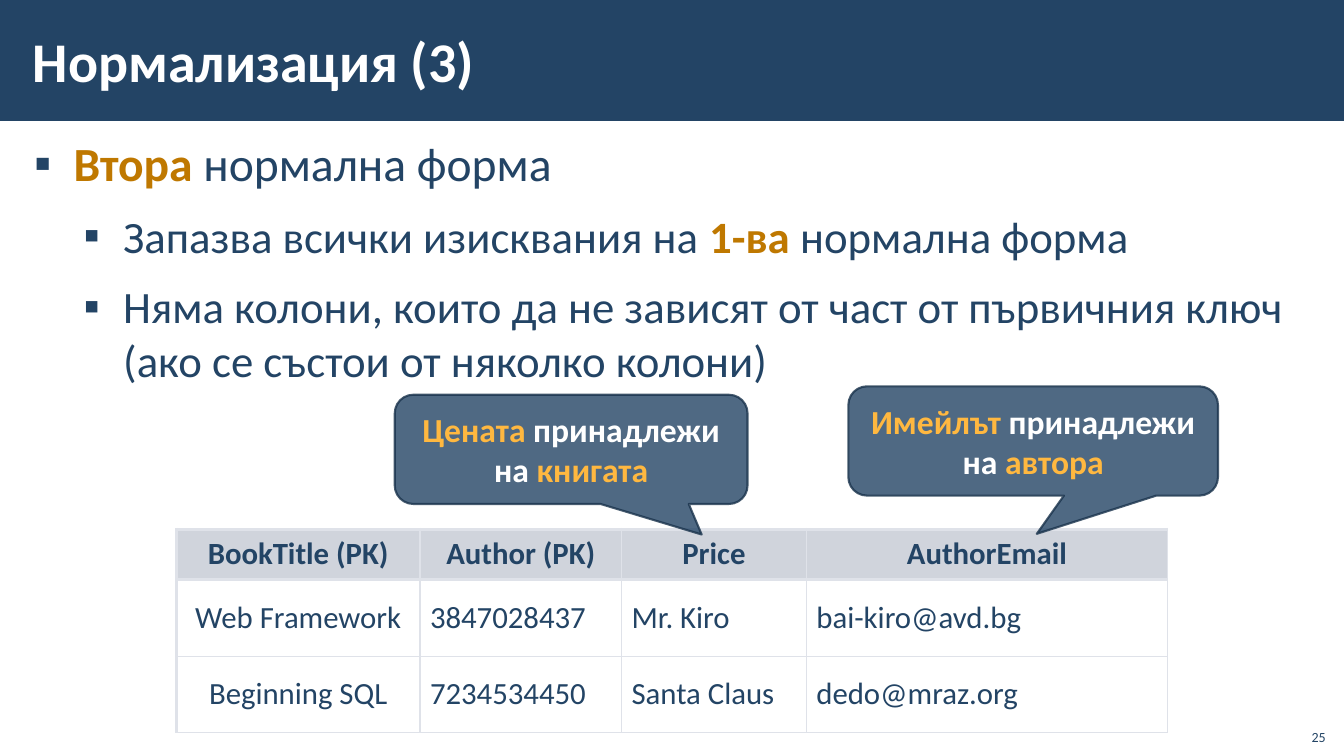
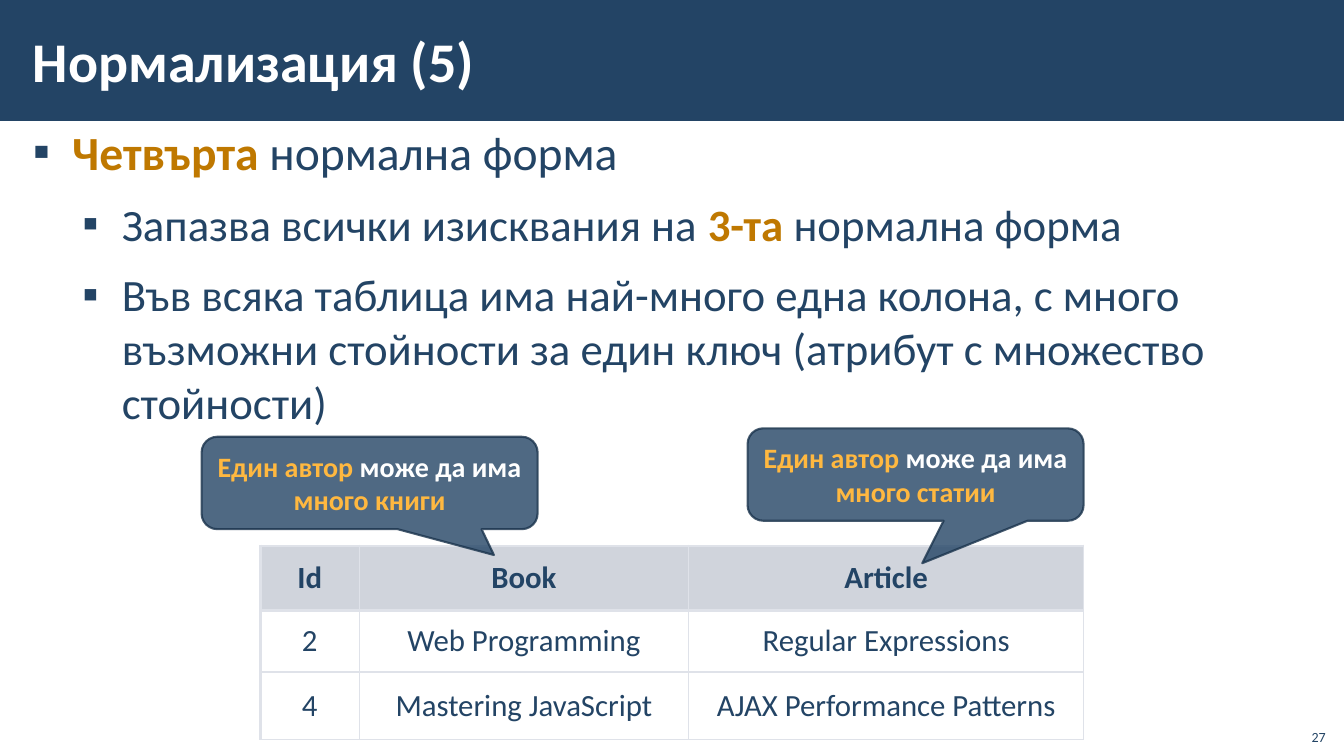
import lxml.etree
import pptx
import pptx.dml.color
import pptx.enum.shapes
import pptx.enum.text
import pptx.oxml.ns
import pptx.util

Pt = pptx.util.Pt
ALIGN = pptx.enum.text.PP_ALIGN
ANCHOR = pptx.enum.text.MSO_ANCHOR
SHAPE = pptx.enum.shapes.MSO_SHAPE
qn = pptx.oxml.ns.qn

FONT = "Calibri"
NAVY, WHITE = "234465", "FFFFFF"
OUTLINE, GRID, HEADER = "1A334C", "DFE2E9", "D0D4DC"
ACCENT, CALLOUT_ACCENT = "BF7800", "FFB840"
PAGE_WIDTH, PAGE_HEIGHT, BAND_HEIGHT = 960, 540, 86.4
THIN, THICK = 1, 2.25


def color(value):
    return pptx.dml.color.RGBColor.from_string(value)


def add_child(parent, tag, **attributes):
    return lxml.etree.SubElement(parent, qn(tag), attributes)


def write(para, text, size, ink, bold=False, align=ALIGN.LEFT, accent=None):
    """Fill a paragraph; parts between asterisks take the accent colour."""
    para.alignment = align
    para.font.name = FONT
    para.font.size = Pt(size)
    para.font.bold = bold
    para.font.color.rgb = color(ink)
    for index, part in enumerate(text.split("*")):
        if part:
            span = para.add_run()
            span.text = part
            if index % 2:
                span.font.bold = True
                span.font.color.rgb = color(accent)


def add_text_box(page, box, anchor, side=8.6, edge=3):
    frame = page.shapes.add_textbox(*map(Pt, box)).text_frame
    frame.word_wrap = True
    frame.vertical_anchor = anchor
    frame.margin_left = frame.margin_right = Pt(side)
    frame.margin_top = frame.margin_bottom = Pt(edge)
    return frame


def add_frame(page, title, number):
    # Title band
    band = page.shapes.add_shape(
        SHAPE.RECTANGLE, 0, 0, Pt(PAGE_WIDTH), Pt(BAND_HEIGHT))
    band.shadow.inherit = False
    band.fill.solid()
    band.fill.fore_color.rgb = color(NAVY)
    band.line.fill.background()
    frame = add_text_box(page, (15, 8, 808, 70), ANCHOR.MIDDLE)
    write(frame.paragraphs[0], title, 40, WHITE, bold=True)
    # Page number
    frame = add_text_box(page, (925, 513, 29, 23), ANCHOR.BOTTOM, 7.2, 3.6)
    write(frame.paragraphs[0], number, 10, NAVY, align=ALIGN.RIGHT)


def add_bullets(page, box, lines):
    """The first line is the heading; the others sit one level below it."""
    frame = add_text_box(page, box, ANCHOR.TOP)
    for index, line in enumerate(lines):
        level = min(index, 1)
        para = frame.add_paragraph() if index else frame.paragraphs[0]
        para.level = level
        properties = para._p.get_or_add_pPr()
        properties.set("marL", str(Pt(28 + 35.4 * level)))
        properties.set("indent", str(-Pt(28)))
        bullet_color = add_child(properties, "a:buClr")
        add_child(bullet_color, "a:srgbClr", val=NAVY)
        add_child(properties, "a:buFont", typeface=FONT)
        add_child(properties, "a:buChar", char="▪")
        if index:
            para.space_before = Pt(6)
        para.space_after = Pt(6)
        write(para, line, 32 if level else 34, NAVY, accent=ACCENT)


def add_border(cell, side, width):
    line = add_child(cell._tc.get_or_add_tcPr(), "a:ln" + side, w=str(Pt(width)))
    fill = add_child(line, "a:solidFill")
    add_child(fill, "a:srgbClr", val=GRID)


def add_grid(page, left, top, widths, heights, rows, centred):
    """Draw a table whose first `centred` columns have centred body text."""
    table = page.shapes.add_table(
        len(rows), len(widths), Pt(left), Pt(top),
        Pt(sum(widths)), Pt(sum(heights))).table
    table.horz_banding = False
    for column, width in zip(table.columns, widths):
        column.width = Pt(width)
    for r, (row, height) in enumerate(zip(rows, heights)):
        table.rows[r].height = Pt(height)
        is_header = r == 0
        for c, text in enumerate(row):
            cell = table.cell(r, c)
            cell.vertical_anchor = ANCHOR.MIDDLE
            add_border(cell, "L", THIN if c else THICK)
            add_border(cell, "R", THIN)
            add_border(cell, "T", THICK if r < 2 else THIN)
            add_border(cell, "B", THICK if is_header else THIN)
            if is_header:
                cell.fill.solid()
                cell.fill.fore_color.rgb = color(HEADER)
            else:
                cell.fill.background()
            align = ALIGN.CENTER if is_header or c < centred else ALIGN.LEFT
            write(cell.text_frame.paragraphs[0], text, 22, NAVY, is_header, align)


def add_callout(page, box, tip, text, size):
    """Tip is the pointer's offset from the centre, as shares of the box."""
    callout = page.shapes.add_shape(
        SHAPE.ROUNDED_RECTANGULAR_CALLOUT, *map(Pt, box))
    callout.shadow.inherit = False
    for index, value in enumerate((*tip, 0.17)):
        callout.adjustments[index] = value
    callout.fill.solid()
    callout.fill.fore_color.rgb = color(NAVY)
    callout.line.color.rgb = color(OUTLINE)
    callout.line.width = Pt(1.5)
    # Both fill and outline are 80% opaque
    for paint in callout._element.spPr.iter(qn("a:srgbClr")):
        add_child(paint, "a:alpha", val="80000")
    frame = callout.text_frame
    frame.word_wrap = True
    frame.vertical_anchor = ANCHOR.MIDDLE
    write(frame.paragraphs[0], text, size, WHITE, True, ALIGN.CENTER,
          CALLOUT_ACCENT)


def add_page(deck, title, number, bullets, grid, callouts, callout_size):
    page = deck.slides.add_slide(deck.slide_layouts[6])
    add_frame(page, title, number)
    add_bullets(page, *bullets)
    add_grid(page, **grid)
    for box, tip, text in callouts:
        add_callout(page, box, tip, text, callout_size)


def main():
    deck = pptx.Presentation()
    deck.slide_width, deck.slide_height = Pt(PAGE_WIDTH), Pt(PAGE_HEIGHT)

    # Second normal form
    add_page(
        deck, "Нормализация (3)", "25",
        ((16, 93, 929.5, 438), [
            "*Втора* нормална форма",
            "Запазва всички изисквания на *1-ва* нормална форма",
            "Няма колони, които да не зависят от част от първичния ключ "
            "(ако се състои от няколко колони)"]),
        dict(left=126, top=378, widths=(174, 144, 132, 258),
             heights=(36, 54.7, 54.7), centred=1, rows=[
                 ("BookTitle (PK)", "Author (PK)", "Price", "AuthorEmail"),
                 ("Web Framework", "3847028437", "Mr. Kiro", "bai-kiro@avd.bg"),
                 ("Beginning SQL", "7234534450", "Santa Claus", "dedo@mraz.org")]),
        [((282, 282, 252, 78), (0.37, 0.78), "*Цената* принадлежи на *книгата*"),
         ((606, 276, 264, 78), (0.01, 0.85), "*Имейлът* принадлежи на *автора*")],
        24)

    # Fourth normal form
    add_page(
        deck, "Нормализация (5)", "27",
        ((15, 84.5, 929.5, 438), [
            "*Четвърта* нормална форма",
            "Запазва всички изисквания на *3-та* нормална форма",
            "Във всяка таблица има най-много една колона, с много възможни "
            "стойности за един ключ (атрибут с множество стойности)"]),
        dict(left=186, top=390, widths=(70.5, 235.5, 282),
             heights=(46, 44, 48), centred=3, rows=[
                 ("Id", "Book", "Article"),
                 ("2", "Web Programming", "Regular Expressions"),
                 ("4", "Mastering JavaScript", "AJAX Performance Patterns")]),
        [((144, 312, 240, 66), (0.37, 0.78), "*Един автор* може да има *много книги*"),
         ((534, 306, 240, 66), (0.02, 0.96), "*Един автор* може да има *много статии*")],
        20)

    deck.save("out.pptx")


if __name__ == "__main__":
    main()
